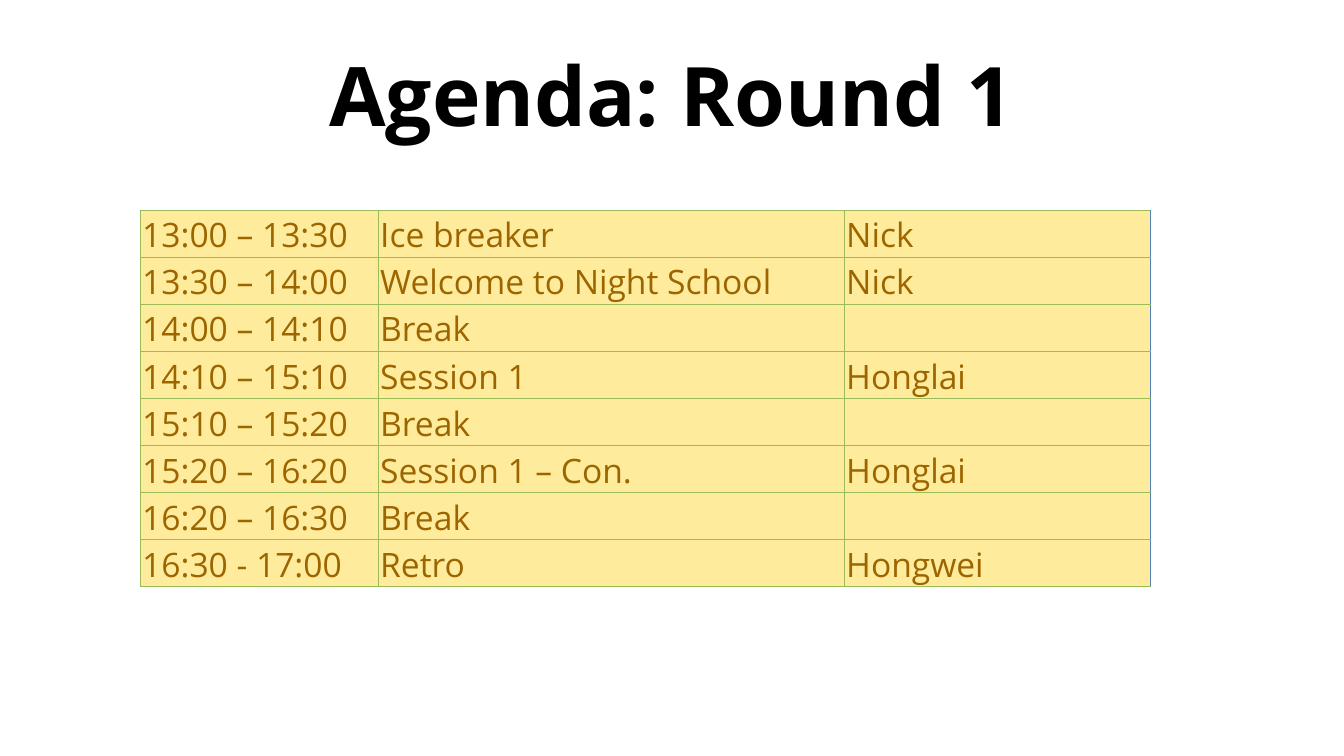
from lxml.etree import SubElement
from pptx import Presentation
from pptx.dml.color import RGBColor
from pptx.enum.text import MSO_ANCHOR, PP_ALIGN
from pptx.oxml.ns import qn
from pptx.util import Pt

AGENDA = [
    ("13:00 – 13:30", "Ice breaker", "Nick"),
    ("13:30 – 14:00", "Welcome to Night School", "Nick"),
    ("14:00 – 14:10", "Break", ""),
    ("14:10 – 15:10", "Session 1", "Honglai"),
    ("15:10 – 15:20", "Break", ""),
    ("15:20 – 16:20", "Session 1 – Con.", "Honglai"),
    ("16:20 – 16:30", "Break", ""),
    ("16:30 - 17:00", "Retro", "Hongwei"),
]
WIDTHS = [127.5, 249.7, 163.8]
ROW = 25.25


def color(code):
    return RGBColor.from_string(code)


class Board:
    face = "Open Sans"
    ink, text, fill = "000000", "9C6500", "FFEB9C"
    line, edge = "9BBB59", "4F81BD"

    def __init__(self, slide):
        self.slide = slide

    def font(self, para, size, code, bold=False):
        font = para.font
        font.name, font.size, font.bold = self.face, Pt(size), bold
        font.color.rgb = color(code)

    def title(self, text, left, top, width, height):
        box = self.slide.shapes.add_textbox(Pt(left), Pt(top), Pt(width), Pt(height))
        frame = box.text_frame
        frame.word_wrap = True
        frame.vertical_anchor = MSO_ANCHOR.MIDDLE
        para = frame.paragraphs[0]
        para.text = text
        para.alignment = PP_ALIGN.CENTER
        self.font(para, 44, self.ink, bold=True)

    def border(self, cell, side, code):
        props = cell._tc.get_or_add_tcPr()
        line = SubElement(props, qn(f"a:ln{side}"), w=str(Pt(0.5)))
        fill = SubElement(line, qn("a:solidFill"))
        SubElement(fill, qn("a:srgbClr"), val=code)

    def cell(self, cell, text, last):
        cell.margin_left = cell.margin_right = cell.margin_top = Pt(1)
        cell.margin_bottom = 0
        cell.vertical_anchor = MSO_ANCHOR.BOTTOM
        # Borders must precede the fill in the cell's XML.
        for side in "LRTB":
            self.border(cell, side, self.edge if last and side == "R" else self.line)
        cell.fill.solid()
        cell.fill.fore_color.rgb = color(self.fill)
        para = cell.text_frame.paragraphs[0]
        if text:
            para.text = text
        self.font(para, 18, self.text)

    def table(self, rows, widths, left, top, height):
        shape = self.slide.shapes.add_table(
            len(rows), len(widths), Pt(left), Pt(top),
            Pt(sum(widths)), Pt(height * len(rows)))
        table = shape.table
        table.first_row = table.horz_banding = False
        for col, width in zip(table.columns, widths):
            col.width = Pt(width)
        for r, row in enumerate(rows):
            table.rows[r].height = Pt(height)
            for c, text in enumerate(row):
                self.cell(table.cell(r, c), text, c == len(row) - 1)


def main():
    deck = Presentation()
    deck.slide_width, deck.slide_height = Pt(720), Pt(405)
    board = Board(deck.slides.add_slide(deck.slide_layouts[6]))
    board.title("Agenda: Round 1", 36, 16.2, 648, 67.5)
    board.table(AGENDA, WIDTHS, 75.2, 112.6, ROW)
    deck.save("out.pptx")


if __name__ == "__main__":
    main()
